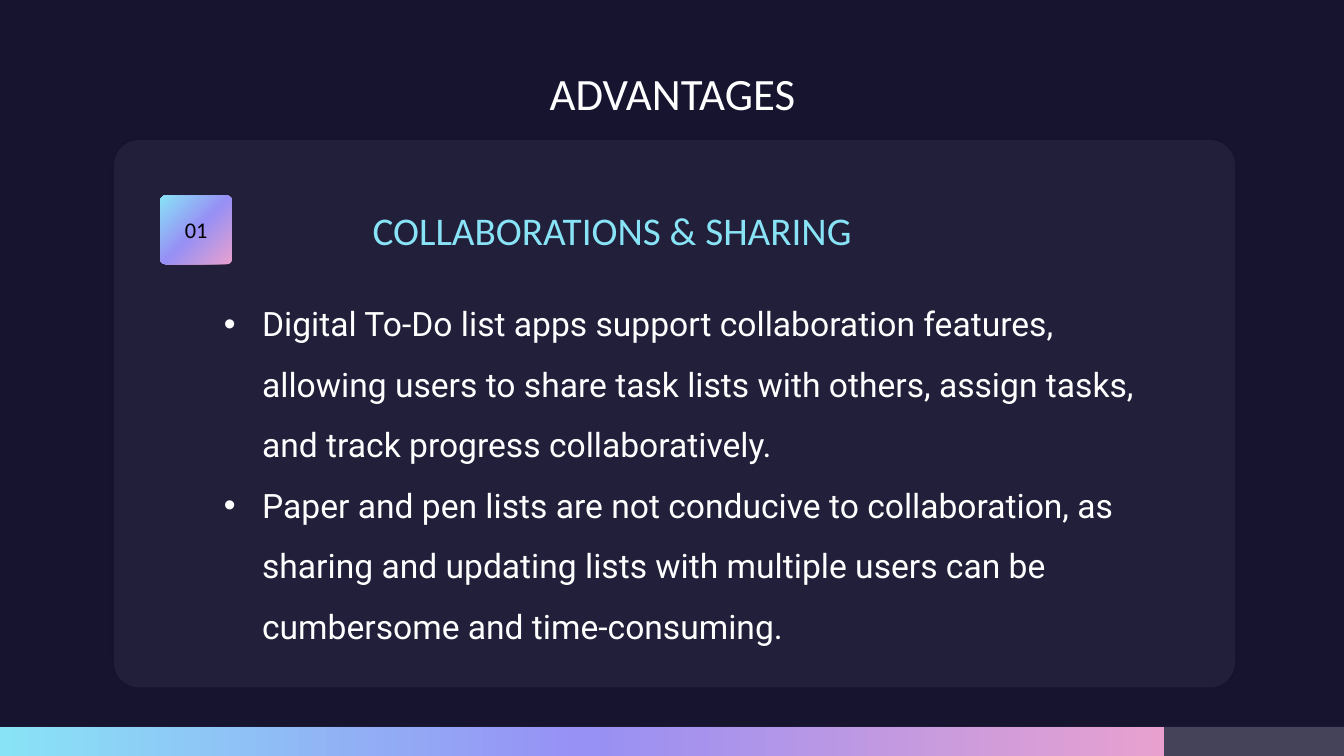
import pptx
import pptx.dml.color
import pptx.enum.shapes
import pptx.enum.text
import pptx.oxml
import pptx.oxml.ns
import pptx.util

Inches = pptx.util.Inches
Shape = pptx.enum.shapes.MSO_SHAPE
Anchor = pptx.enum.text.MSO_ANCHOR
Align = pptx.enum.text.PP_ALIGN
qn = pptx.oxml.ns.qn

WHITE, CYAN, VIOLET, PINK = "FFFFFF", "89E3F6", "9790F5", "E8A1CF"
LINEAR = '<a:lin ang="10800000" scaled="0"/>'
RADIAL = '<a:path path="circle"><a:fillToRect r="100000" b="100000"/></a:path>'
POINTS = [
    "Digital To-Do list apps support collaboration features, allowing users to share "
    "task lists with others, assign tasks, and track progress collaboratively.",
    "Paper and pen lists are not conducive to collaboration, as sharing and updating "
    "lists with multiple users can be cumbersome and time-consuming.",
]


def rgb(color):
    """Return a colour object for a hex string."""
    return pptx.dml.color.RGBColor.from_string(color)


def element(xml):
    """Build a DrawingML element, declaring the a: namespace on its first tag."""
    tag, rest = xml.split(" ", 1)
    return pptx.oxml.parse_xml(f"{tag} {pptx.oxml.ns.nsdecls('a')} {rest}")


def add_box(s, kind, at, radius=None):
    """Add a preset shape with no line and no shadow."""
    sp = s.shapes.add_shape(kind, *map(Inches, at))
    sp.shadow.inherit = False
    sp.line.fill.background()
    if radius is not None:
        sp.adjustments[0] = radius
    return sp


def fill_veil(sp, opacity):
    """Fill a shape with white at the given percent opacity."""
    sp.fill.solid()
    sp.fill.fore_color.rgb = rgb(WHITE)
    color = sp.element.spPr.find(qn("a:solidFill"))[0]
    color.append(element(f'<a:alpha val="{opacity * 1000}"/>'))


def fill_gradient(sp, colors, direction):
    """Fill a shape with evenly spaced gradient stops."""
    step = 100000 // (len(colors) - 1)
    stops = "".join(
        f'<a:gs pos="{i * step}"><a:srgbClr val="{c}"/></a:gs>' for i, c in enumerate(colors)
    )
    sp.fill.gradient()
    spPr = sp.element.spPr
    xml = f'<a:gradFill rotWithShape="1"><a:gsLst>{stops}</a:gsLst>{direction}</a:gradFill>'
    spPr.replace(spPr.find(qn("a:gradFill")), element(xml))


def add_glow(sp):
    """Give a shape a soft, centred black shadow."""
    sp.element.spPr.find(qn("a:effectLst")).append(element(
        f'<a:outerShdw blurRad="{pptx.util.Pt(7)}" dist="0" dir="0" algn="ctr" rotWithShape="0">'
        '<a:srgbClr val="000000"><a:alpha val="20000"/></a:srgbClr></a:outerShdw>'))


def frame(sp, anchor, inset=0.05):
    """Set up wrapping, anchor and margins, and return the text frame."""
    tf = sp.text_frame
    tf.word_wrap = True
    tf.auto_size = pptx.enum.text.MSO_AUTO_SIZE.NONE
    tf.vertical_anchor = anchor
    tf.margin_left = tf.margin_right = 0
    tf.margin_top = tf.margin_bottom = Inches(inset)
    return tf


def add_run(p, text, size, color, font="Calibri", align=Align.CENTER):
    """Add one formatted run to a paragraph."""
    p.alignment = align
    r = p.add_run()
    r.text = text
    r.font.size = pptx.util.Pt(size)
    r.font.name = font
    r.font.color.rgb = rgb(color)


def add_bullets(tf, points):
    """Write the points as bulleted paragraphs with a hanging indent."""
    for i, point in enumerate(points):
        p = tf.add_paragraph() if i else tf.paragraphs[0]
        p.level = 1
        p.line_spacing = 1.5
        pPr = p._p.get_or_add_pPr()
        pPr.set("marL", str(Inches(0.88)))
        pPr.set("indent", str(Inches(-0.38)))
        pPr.append(element('<a:buFont typeface="Arial"/>'))
        pPr.append(element('<a:buChar char="•"/>'))
        add_run(p, point, 24, WHITE, "Roboto", Align.LEFT)


def main():
    """Build the slide and save it."""
    prs = pptx.Presentation()
    prs.slide_width, prs.slide_height = Inches(13.33), Inches(7.5)
    s = prs.slides.add_slide(prs.slide_layouts[5])
    s.background.fill.solid()
    s.background.fill.fore_color.rgb = rgb("171430")

    title = s.shapes.title
    title.left, title.top, title.width, title.height = map(Inches, (3.52, 0.53, 6.3, 0.71))
    add_run(frame(title, Anchor.BOTTOM).paragraphs[0], "ADVANTAGES", 32, WHITE)

    track = add_box(s, Shape.RECTANGLE, (0, 7.21, 13.33, 0.29))
    fill_veil(track, 20)
    progress = add_box(s, Shape.RECTANGLE, (0, 7.21, 11.55, 0.29))
    fill_gradient(progress, [PINK, VIOLET, CYAN], LINEAR)

    card = add_box(s, Shape.ROUNDED_RECTANGLE, (1.13, 1.39, 11.12, 5.43), 0.046)
    fill_veil(card, 5)
    add_glow(card)

    badge = add_box(s, Shape.ROUNDED_RECTANGLE, (1.59, 1.94, 0.71, 0.68), 0.072)
    fill_gradient(badge, [CYAN, VIOLET, PINK], RADIAL)
    add_run(frame(badge, Anchor.MIDDLE, 0).paragraphs[0], "01", 16, "000000")

    heading = s.shapes.add_textbox(*map(Inches, (2.41, 1.99, 7.32, 0.57)))
    add_run(frame(heading, Anchor.BOTTOM).paragraphs[0], "COLLABORATIONS & SHARING", 28, CYAN)

    body = s.shapes.add_textbox(*map(Inches, (1.72, 2.76, 9.95, 3.65)))
    add_bullets(frame(body, Anchor.TOP), POINTS)

    prs.save("out.pptx")


if __name__ == "__main__":
    main()
